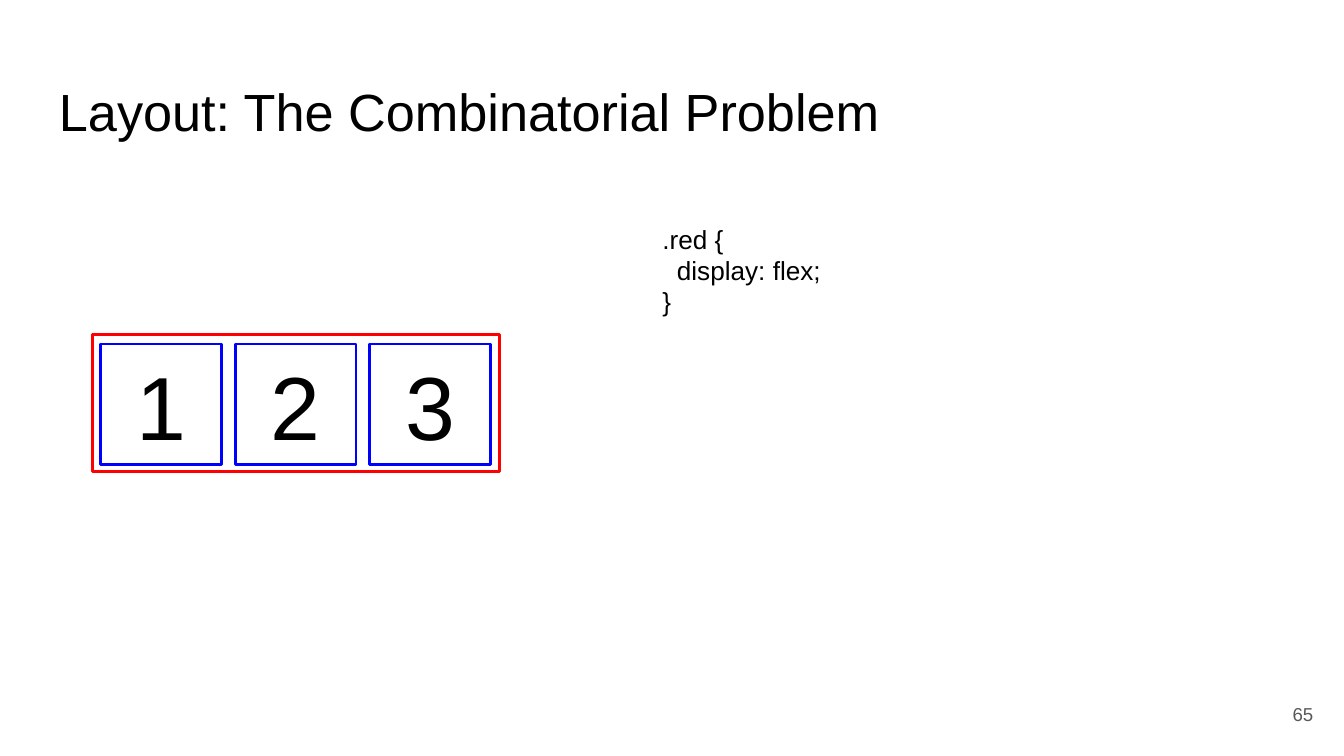
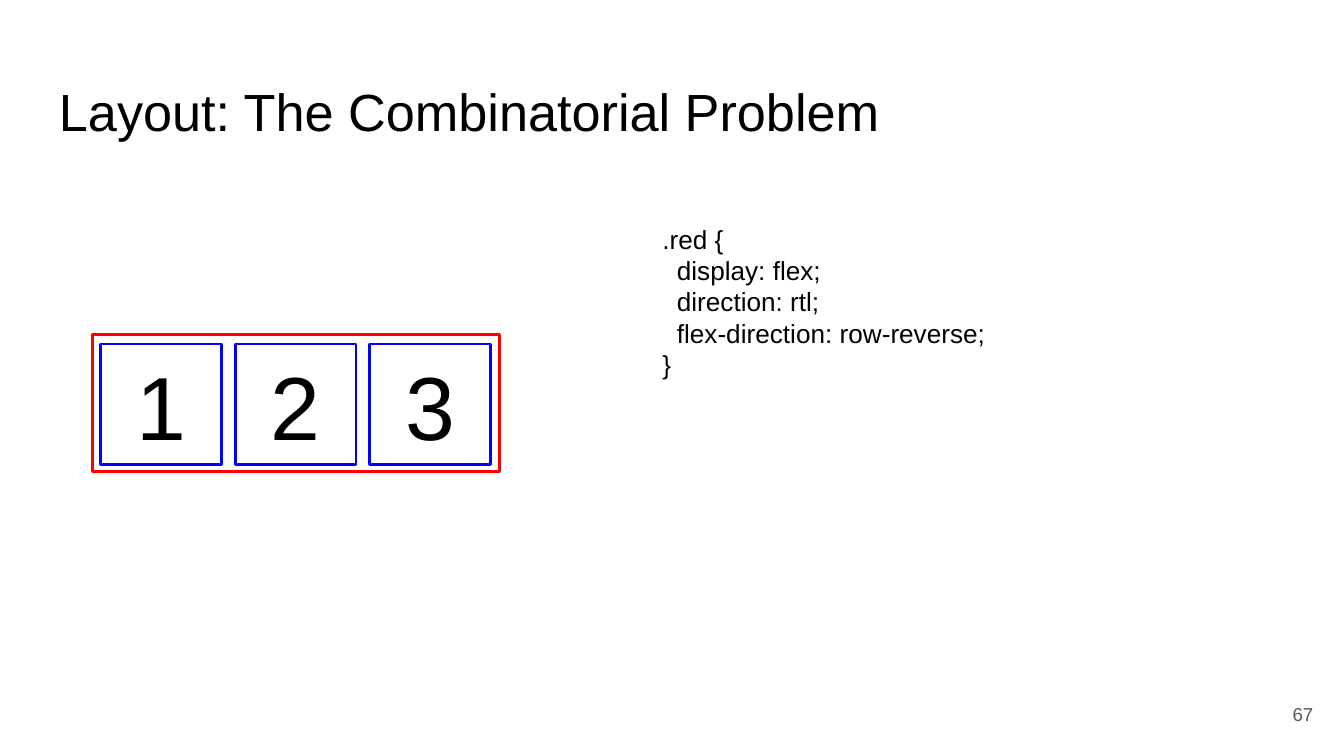
from typing import NamedTuple

from pptx import Presentation
from pptx import util as u
from pptx.dml.color import RGBColor
from pptx.enum import shapes, text

BLACK = RGBColor(0x00, 0x00, 0x00)
GRAY = RGBColor(0x59, 0x59, 0x59)
RED = RGBColor(0xFF, 0x00, 0x00)
BLUE = RGBColor(0x00, 0x00, 0xFF)

FONT = "Arial"
TITLE = "Layout: The Combinatorial Problem"
SLIDE_WIDTH = u.Inches(10)
SLIDE_HEIGHT = u.Emu(SLIDE_WIDTH * 9 // 16)
ITEM_LEFT, ITEM_TOP, ITEM_SIZE, ITEM_PITCH = 0.75, 2.56, 0.9, 1.0


class Box(NamedTuple):
    left: float
    top: float
    width: float
    height: float


class TextStyle(NamedTuple):
    size: int
    color: RGBColor = BLACK
    align: text.PP_ALIGN = text.PP_ALIGN.LEFT
    anchor: text.MSO_ANCHOR = text.MSO_ANCHOR.TOP


class FlexExample(NamedTuple):
    number: int
    declarations: tuple[str, ...]


TITLE_BOX = Box(0.34, 0.49, 9.32, 0.63)
NUMBER_BOX = Box(9.27, 5.1, 0.6, 0.43)
CODE_BOX = Box(4.83, 1.56, 4.43, 3.54)
CONTAINER_BOX = Box(0.69, 2.49, 3.03, 1.02)

TITLE_STYLE = TextStyle(28)
CODE_STYLE = TextStyle(14)
NUMBER_STYLE = TextStyle(10, GRAY, text.PP_ALIGN.RIGHT, text.MSO_ANCHOR.MIDDLE)
ITEM_STYLE = TextStyle(48, BLACK, text.PP_ALIGN.CENTER, text.MSO_ANCHOR.MIDDLE)

EXAMPLES = (
    FlexExample(65, ("display: flex;",)),
    FlexExample(67, ("display: flex;", "direction: rtl;", "flex-direction: row-reverse;")),
)


def write_text(shape, content: str, style: TextStyle) -> None:
    frame = shape.text_frame
    frame.word_wrap = True
    frame.vertical_anchor = style.anchor
    frame.margin_left = frame.margin_right = u.Inches(0.1)
    frame.margin_top = frame.margin_bottom = u.Inches(0.1)
    frame.text = content
    for paragraph in frame.paragraphs:
        paragraph.alignment = style.align
        for run in paragraph.runs:
            run.font.name = FONT
            run.font.size = u.Pt(style.size)
            run.font.color.rgb = style.color


def add_text(slide, box: Box, content: str, style: TextStyle) -> None:
    write_text(slide.shapes.add_textbox(*map(u.Inches, box)), content, style)


def add_outline(slide, box: Box, color: RGBColor):
    shape = slide.shapes.add_shape(shapes.MSO_SHAPE.RECTANGLE, *map(u.Inches, box))
    shape.shadow.inherit = False
    shape.fill.background()
    shape.line.color.rgb = color
    shape.line.width = u.Pt(1.5)
    return shape


def add_flex_row(slide) -> None:
    """Draw the red container with its three numbered blue items."""
    add_outline(slide, CONTAINER_BOX, RED)
    for index in range(3):
        box = Box(ITEM_LEFT + index * ITEM_PITCH, ITEM_TOP, ITEM_SIZE, ITEM_SIZE)
        write_text(add_outline(slide, box, BLUE), str(index + 1), ITEM_STYLE)


def add_example(presentation, example: FlexExample) -> None:
    slide = presentation.slides.add_slide(presentation.slide_layouts[6])
    code = "\n".join([".red {", *(f"  {line}" for line in example.declarations), "}"])
    add_text(slide, TITLE_BOX, TITLE, TITLE_STYLE)
    add_text(slide, NUMBER_BOX, str(example.number), NUMBER_STYLE)
    add_text(slide, CODE_BOX, code, CODE_STYLE)
    add_flex_row(slide)


def main() -> None:
    presentation = Presentation()
    presentation.slide_width = SLIDE_WIDTH
    presentation.slide_height = SLIDE_HEIGHT
    for example in EXAMPLES:
        add_example(presentation, example)
    presentation.save("out.pptx")


if __name__ == "__main__":
    main()
